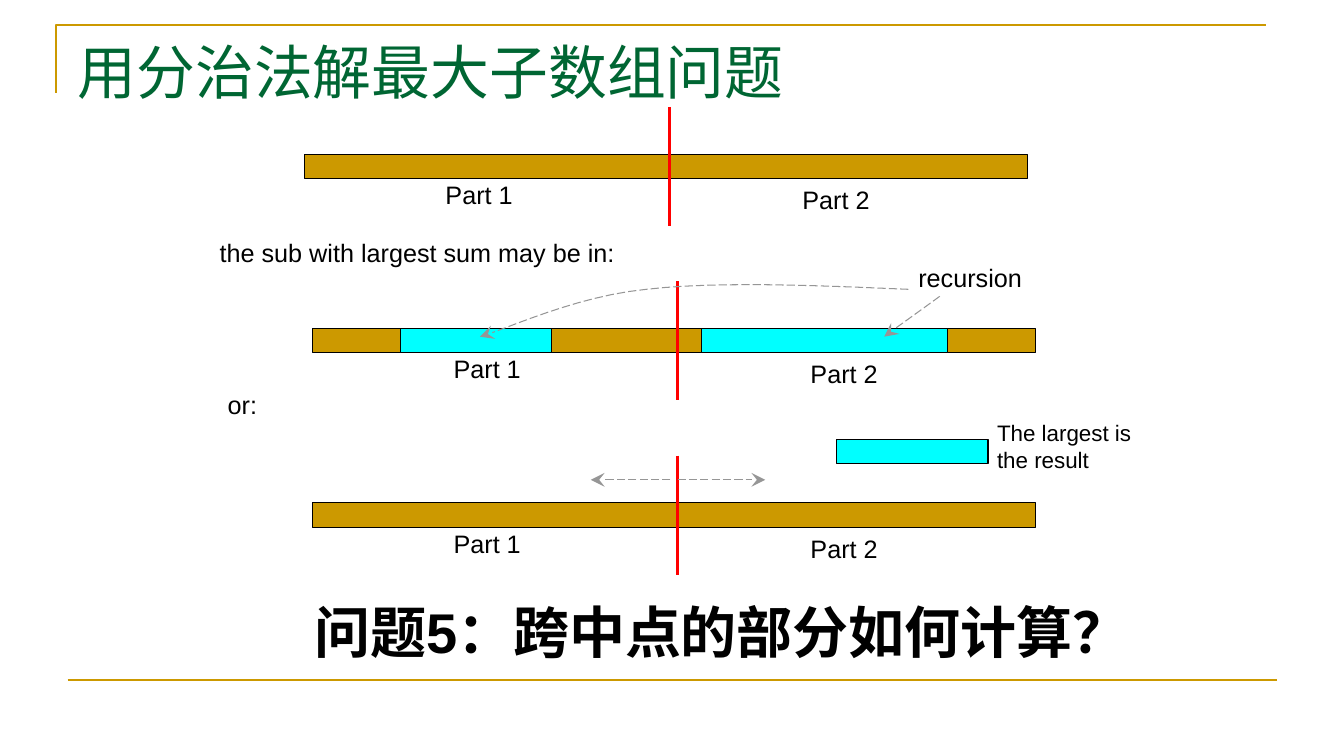
from lxml import etree
from pptx import Presentation
from pptx import util as u
from pptx.dml.color import RGBColor
from pptx.enum import dml, shapes, text
from pptx.oxml.ns import qn

THEME = {
    "gold": "CC9900", "cyan": "00FFFF", "red": "FF0000", "gray": "969696",
    "black": "000000", "green": "006633",
    "title_size": 42, "question_size": 40, "label_size": 18, "note_size": 16,
    "title_font": "Times New Roman", "font": "Arial",
}

TITLE = ("用分治法解最大子数组问题", (0.67, 0.3, 12, 1.25))
QUESTION = ("问题5：跨中点的部分如何计算？", (2.96, 5.88, 8.39, 0.77))
ARRAYS = [(3.02, 1.53), (3.1, 3.26), (3.1, 4.99)]
ARRAY_WIDTH, BAR_HEIGHT = 7.17, 0.24
PARTS = [("Part 1", 1.3, 0.2), ("Part 2", 4.84, 0.25)]
MIDPOINT = {"x": 3.62, "top": -0.47, "bottom": 0.71}
SUBARRAYS = [(3.97, 3.26, 1.5), (6.96, 3.26, 2.44), (8.3, 4.36, 1.5)]
CAPTIONS = [
    ("the sub with largest sum may be in:", (2.08, 2.31, 5.43, 0.4), "label_size"),
    ("or:", (2.16, 3.81, 1.26, 0.4), "label_size"),
    ("recursion", (9.01, 2.55, 2.36, 0.4), "label_size"),
    ("The largest is the result", (9.79, 4.11, 1.58, 0.64), "note_size"),
]
RECURSION_CURVES = [
    [(9.32, 2.94), (9.09, 3.11), (8.86, 3.27), (8.77, 3.34)],
    [(9.01, 2.87), (8.06, 2.83), (7.12, 2.79), (6.41, 2.87),
     (5.7, 2.94), (5.04, 3.26), (4.76, 3.34)],
]
CROSSING_ARROWS = [((6.65, 4.76), (5.86, 4.76)), ((6.72, 4.76), (7.59, 4.76))]
FRAME_CORNER = [(0.56, 0.92), (0.56, 0.25), (12.56, 0.25)]
FRAME_BASE = ((0.67, 6.75), (12.67, 6.75))
CURVE_STEPS = 12


def color(name):
    return RGBColor.from_string(THEME[name])


def inches(values):
    return [u.Inches(value) for value in values]


def stroke(item, shade, width, arrow=False):
    item.line.color.rgb = color(shade)
    item.line.width = u.Pt(width)
    if arrow:
        item.line.dash_style = dml.MSO_LINE.LONG_DASH
        ln = item.line._get_or_add_ln()
        etree.SubElement(ln, qn("a:tailEnd"), type="stealth", w="lg", len="lg")


def straight(slide, ends, shade, width, arrow=False):
    start, end = ends
    line = slide.shapes.add_connector(
        shapes.MSO_CONNECTOR.STRAIGHT, *inches(start + end))
    stroke(line, shade, width, arrow)
    etree.SubElement(line._element.spPr, qn("a:effectLst"))


def outline(slide, points, shade, width, arrow=False):
    start, *rest = [inches(point) for point in points]
    builder = slide.shapes.build_freeform(*start)
    builder.add_line_segments(rest, close=False)
    trace = builder.convert_to_shape()
    trace.fill.background()
    trace.shadow.inherit = False
    stroke(trace, shade, width, arrow)


def curve_points(controls):
    points = [controls[0]]
    for first in range(0, len(controls) - 1, 3):
        segment = controls[first:first + 4]
        for step in range(1, CURVE_STEPS + 1):
            t = step / CURVE_STEPS
            weights = ((1 - t) ** 3, 3 * t * (1 - t) ** 2, 3 * t * t * (1 - t), t ** 3)
            points.append(tuple(
                sum(weight * point[axis] for weight, point in zip(weights, segment))
                for axis in (0, 1)))
    return points


def bar(slide, left, top, width, shade):
    strip = slide.shapes.add_shape(
        shapes.MSO_SHAPE.RECTANGLE, *inches((left, top, width, BAR_HEIGHT)))
    strip.shadow.inherit = False
    strip.fill.solid()
    strip.fill.fore_color.rgb = color(shade)
    stroke(strip, "black", 0.75)


def write(holder, words, size, shade="black", font="font", bold=False,
          wrap=True, align=text.PP_ALIGN.LEFT):
    frame = holder.text_frame
    frame.text = words
    paragraph = frame.paragraphs[0]
    frame_format = {"word_wrap": wrap, "auto_size": text.MSO_AUTO_SIZE.NONE,
                    "vertical_anchor": text.MSO_ANCHOR.TOP}
    font_format = {"size": u.Pt(THEME[size]), "name": THEME[font], "bold": bold}
    for target, values in ((frame, frame_format), (paragraph, {"alignment": align}),
                           (paragraph.runs[0].font, font_format)):
        for key, value in values.items():
            setattr(target, key, value)
    paragraph.runs[0].font.color.rgb = color(shade)


def caption(slide, words, box, size, **options):
    write(slide.shapes.add_textbox(*inches(box)), words, size, **options)


def main():
    deck = Presentation()
    deck.slide_width, deck.slide_height = inches((13.33, 7.5))
    slide = deck.slides.add_slide(deck.slide_layouts[5])

    outline(slide, FRAME_CORNER, "gold", 1.5)
    straight(slide, FRAME_BASE, "gold", 1.5)

    words, box = TITLE
    heading = slide.shapes.title
    for key, value in zip(("left", "top", "width", "height"), inches(box)):
        setattr(heading, key, value)
    write(heading, words, "title_size", shade="green", font="title_font")

    for left, top in ARRAYS:
        bar(slide, left, top, ARRAY_WIDTH, "gold")
        middle = left + MIDPOINT["x"]
        straight(slide, ((middle, top + MIDPOINT["top"]),
                         (middle, top + MIDPOINT["bottom"])), "red", 2.25)
        for part, right, down in PARTS:
            caption(slide, part, (left + right, top + down, 1.02, 0.4), "label_size")

    for left, top, width in SUBARRAYS:
        bar(slide, left, top, width, "cyan")
    for words, box, size in CAPTIONS:
        caption(slide, words, box, size)
    for controls in RECURSION_CURVES:
        outline(slide, curve_points(controls), "gray", 0.75, arrow=True)
    for ends in CROSSING_ARROWS:
        straight(slide, ends, "gray", 0.75, arrow=True)

    words, box = QUESTION
    caption(slide, words, box, "question_size", bold=True, wrap=False,
            align=text.PP_ALIGN.CENTER)
    deck.save("out.pptx")


if __name__ == "__main__":
    main()
